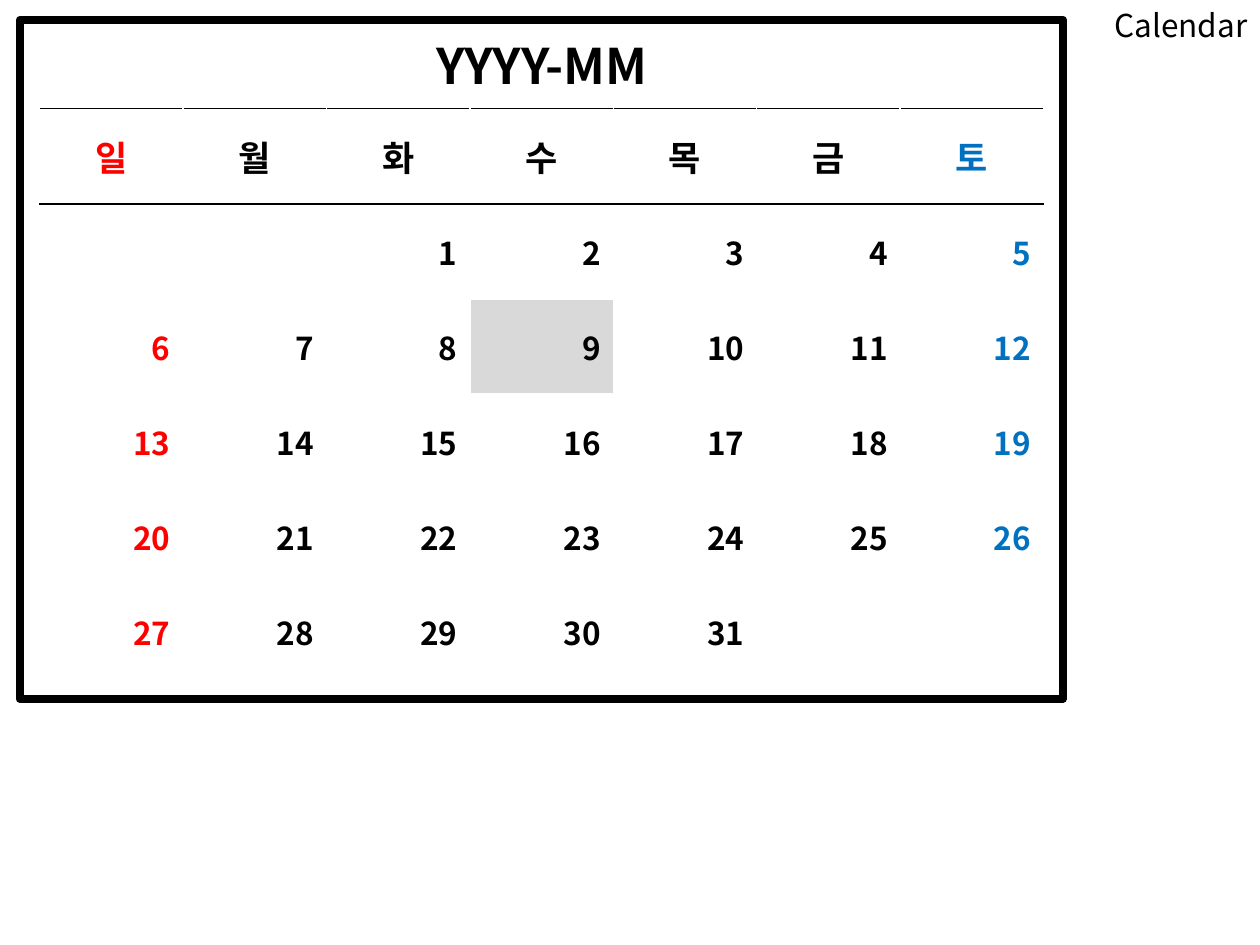
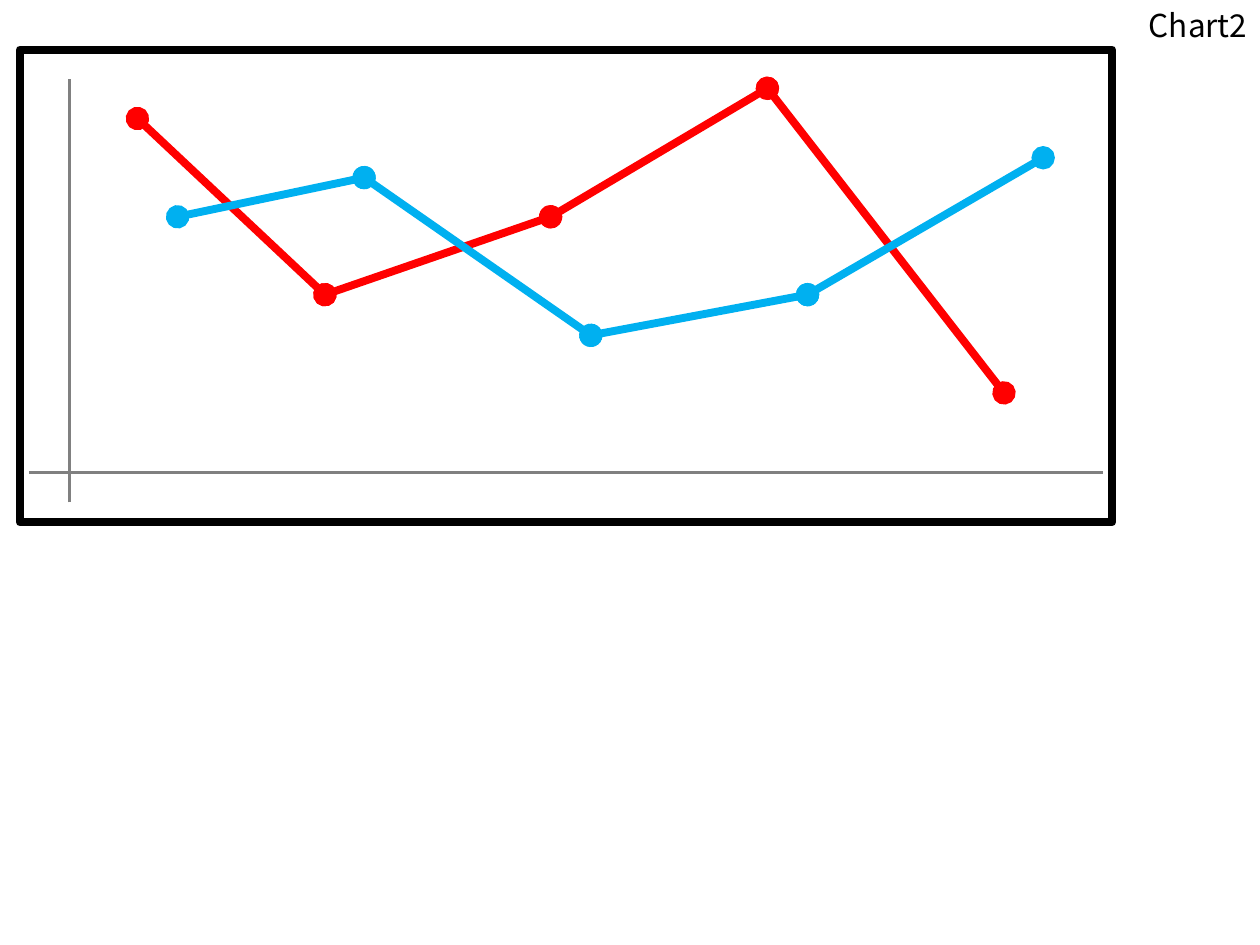
from itertools import pairwise

from lxml import etree
from pptx import Presentation
from pptx import util as u
from pptx.dml.color import RGBColor
from pptx.enum import shapes, text
from pptx.oxml import ns

FONT = "Noto Sans CJK KR"
BLACK = RGBColor(0x00, 0x00, 0x00)
WHITE = RGBColor(0xFF, 0xFF, 0xFF)
RED = RGBColor(0xFF, 0x00, 0x00)
BLUE = RGBColor(0x00, 0x70, 0xC0)
SKY = RGBColor(0x00, 0xB0, 0xF0)
GREY = RGBColor(0x80, 0x80, 0x80)
TODAY_FILL = RGBColor(0xD9, 0xD9, 0xD9)

WEEKDAYS = "일월화수목금토"
FIRST_COLUMN, DAYS, TODAY = 2, 31, 9
RED_POINTS = [(2.37, 1.39), (6.15, 4.94), (10.7, 3.37), (15.07, 0.78), (19.84, 6.92)]
SKY_POINTS = [(3.18, 3.37), (6.94, 2.58), (11.51, 5.76), (15.88, 4.94), (20.63, 2.18)]


def write(frame, words, size, align, color=BLACK, bold=False):
    """Fill a text frame with one formatted paragraph."""
    frame.text = words
    para = frame.paragraphs[0]
    para.alignment = align
    for span in para.runs:
        span.font.name = FONT
        span.font.size = u.Pt(size)
        span.font.bold = bold
        span.font.color.rgb = color
        etree.SubElement(span.font._element, ns.qn("a:ea"), typeface=FONT)


def add_page(deck, title):
    """Add a title-only slide with its small title in the top right corner."""
    page = deck.slides.add_slide(deck.slide_layouts[5])
    box = page.shapes.title
    box.left, box.top, box.width, box.height = u.Cm(20.24), u.Cm(0), u.Cm(5.16), u.Cm(1.02)
    frame = box.text_frame
    frame.word_wrap = True
    frame.vertical_anchor = text.MSO_ANCHOR.TOP
    frame.auto_size = text.MSO_AUTO_SIZE.SHAPE_TO_FIT_TEXT
    write(frame, title, 18, text.PP_ALIGN.RIGHT)
    return page


def add_frame(page, left, top, width, height):
    """Draw the thick black outline around a region."""
    outline = page.shapes.add_shape(
        shapes.MSO_SHAPE.ROUNDED_RECTANGLE, u.Cm(left), u.Cm(top), u.Cm(width), u.Cm(height))
    outline.adjustments[0] = 0
    outline.shadow.inherit = False
    outline.fill.background()
    outline.line.color.rgb = BLACK
    outline.line.width = u.Pt(4.5)


def set_borders(cell, top, bottom):
    """Give a cell white side borders and the given top and bottom colours."""
    properties = cell._tc.get_or_add_tcPr()
    for side, color in zip("LRTB", (WHITE, WHITE, top, bottom)):
        border = etree.SubElement(properties, ns.qn(f"a:ln{side}"), w=str(u.Pt(1)))
        fill = etree.SubElement(border, ns.qn("a:solidFill"))
        etree.SubElement(fill, ns.qn("a:srgbClr"), val=str(color))


def add_calendar(page, left, top, width, height):
    """Build the framed month: a heading above a table of weekdays and dates."""
    add_frame(page, left, top, width, height)
    inner_left, inner_width = u.Cm(left + 0.4), u.Cm(width - 0.79)
    heading = page.shapes.add_textbox(inner_left, u.Cm(top + 0.19), inner_width, u.Cm(1.45))
    heading.text_frame.word_wrap = True
    heading.text_frame.auto_size = text.MSO_AUTO_SIZE.SHAPE_TO_FIT_TEXT
    write(heading.text_frame, "YYYY-MM", 28, text.PP_ALIGN.CENTER, bold=True)

    columns = len(WEEKDAYS)
    table = page.shapes.add_table(
        6, columns, inner_left, u.Cm(top + 1.79), inner_width, u.Cm(height - 2.18)).table
    table.first_row = table.horz_banding = False
    for index, cell in enumerate(table.iter_cells()):
        row, column = divmod(index, columns)
        day = index - columns - FIRST_COLUMN + 1
        color = {0: RED, columns - 1: BLUE}.get(column, BLACK)
        cell.vertical_anchor = text.MSO_ANCHOR.MIDDLE
        set_borders(cell, BLACK if row < 2 else WHITE, BLACK if row == 0 else WHITE)
        if day == TODAY:
            cell.fill.solid()
            cell.fill.fore_color.rgb = TODAY_FILL
        else:
            cell.fill.background()
        if row == 0:
            write(cell.text_frame, WEEKDAYS[column], 20, text.PP_ALIGN.CENTER, color, True)
        elif 1 <= day <= DAYS:
            write(cell.text_frame, str(day), 18, text.PP_ALIGN.RIGHT, color, True)


def add_line(page, left, top, start, end, color, weight, dots=False):
    """Draw a straight line between two points measured from a corner."""
    line = page.shapes.add_connector(
        shapes.MSO_CONNECTOR.STRAIGHT,
        u.Cm(left + start[0]), u.Cm(top + start[1]), u.Cm(left + end[0]), u.Cm(top + end[1]))
    line.line.color.rgb = color
    line.line.width = u.Pt(weight)
    if dots:
        for tag in ("a:headEnd", "a:tailEnd"):
            etree.SubElement(line.line._get_or_add_ln(), ns.qn(tag), type="oval")
    etree.SubElement(line._element.spPr, ns.qn("a:effectLst"))


def add_line_chart(page, left, top, width, height):
    """Sketch a framed line chart with two axes and two dotted series."""
    add_frame(page, left, top, width, height)
    base = height - 1
    add_line(page, left, top, (0.18, base), (width - 0.19, base), GREY, 1.5)
    add_line(page, left, top, (1, height - 0.4), (1, 0.6), GREY, 1.5)
    for points, color in ((RED_POINTS, RED), (SKY_POINTS, SKY)):
        for start, end in pairwise(points):
            add_line(page, left, top, start, end, color, 4.5, dots=True)


def main():
    """Build both slides and save the deck."""
    deck = Presentation()
    deck.slide_width, deck.slide_height = u.Cm(25.4), u.Cm(19.05)
    add_calendar(add_page(deck, "Calendar"), 0.4, 0.4, 21.03, 13.69)
    add_line_chart(add_page(deck, "Chart2"), 0.4, 1, 22.02, 9.53)
    deck.save("out.pptx")


main()
